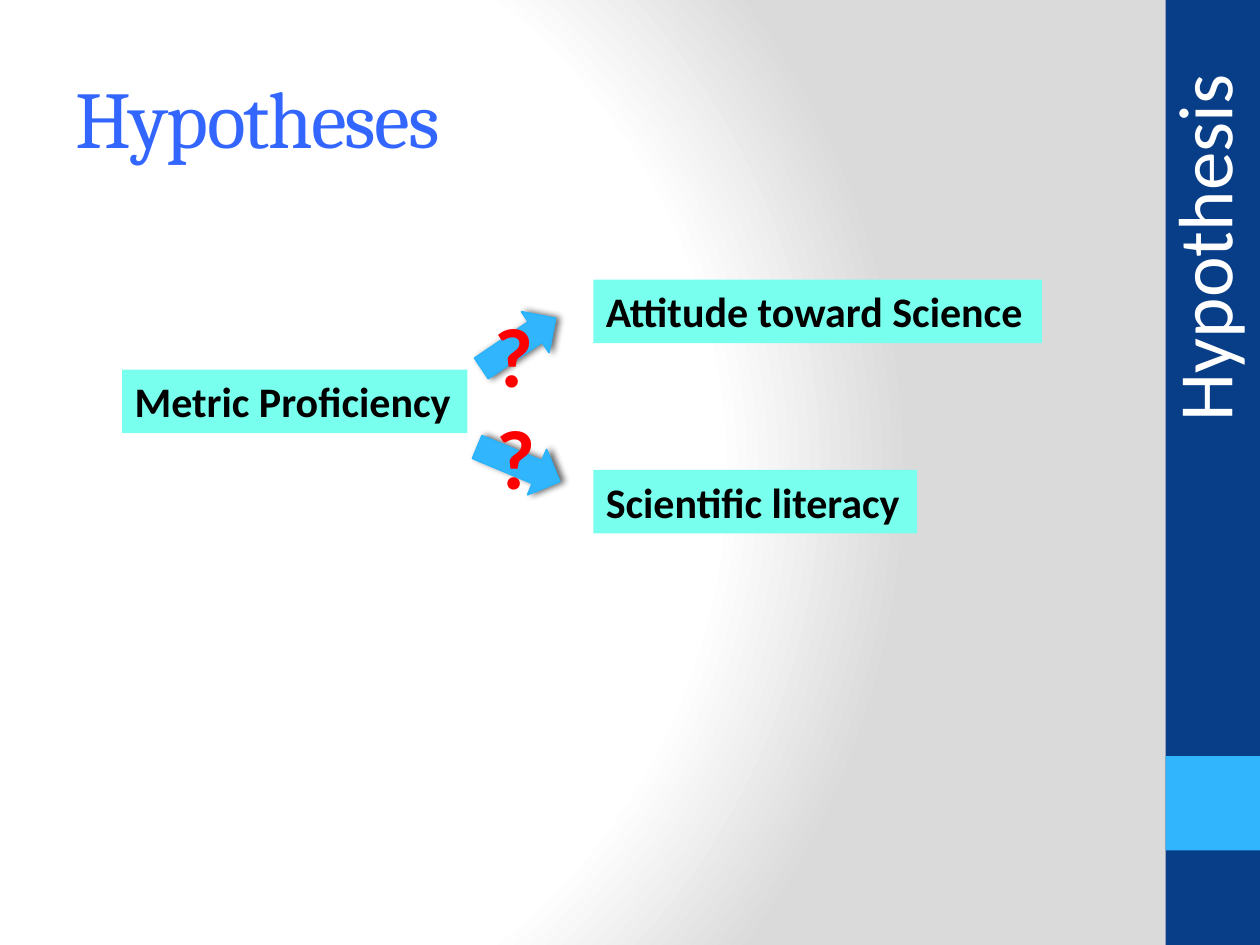
"""Build the hypotheses slide: one predictor, two outcomes and two open questions."""
from pptx import Presentation
from pptx.dml.color import RGBColor
from pptx.enum.shapes import MSO_SHAPE
from pptx.enum.text import MSO_ANCHOR, MSO_AUTO_SIZE, PP_ALIGN
from pptx.oxml import parse_xml
from pptx.oxml.ns import nsdecls, qn
from pptx.util import Pt

RECTANGLE, UP_ARROW = MSO_SHAPE.RECTANGLE, MSO_SHAPE.UP_ARROW
LEFT, TOP, MIDDLE = PP_ALIGN.LEFT, MSO_ANCHOR.TOP, MSO_ANCHOR.MIDDLE
NO_FIT, GROW = MSO_AUTO_SIZE.NONE, MSO_AUTO_SIZE.SHAPE_TO_FIT_TEXT

THEME = {
    "navy": "073E87", "sky": "31B6FD", "sky_edge": "2BB4FC", "aqua": "79FFED",
    "title": {"name": "Cambria", "size": Pt(46), "color": "3366FF", "bold": False},
    "side": {"name": "Calibri", "size": Pt(44), "color": "FFFFFF", "bold": False},
    "label": {"name": "Calibri", "size": Pt(24), "color": "000000", "bold": True},
    "question": {"name": "Calibri", "size": Pt(48), "color": "FF0000", "bold": True},
}
SLIDE_WIDTH, SLIDE_HEIGHT = 720, 540
BAR_WIDTH, LABEL_HEIGHT = 54, 36.35
ARROW_LEFT, ARROW_WIDTH, ARROW_HEIGHT = 282.24, 28.08, 51.12
OUTCOME_LEFT = 339.12

TITLE = ("Hypotheses", (36, 21.6, 599.76, 90))
SIDE_TITLE = ("Hypothesis", (565.2, 95.76, 243.36, 60.48))
BARS = [("navy", 0, SLIDE_HEIGHT), ("sky", 432, BAR_WIDTH)]
LABELS = [
    ("Metric Proficiency", 69.84, 211.2, 197.28),
    ("Scientific literacy", OUTCOME_LEFT, 268.5, 185.04),
    ("Attitude toward Science", OUTCOME_LEFT, 159.8, 256.32),
]
ARROWS = [(170.64, 56), (239.76, 112.7)]
QUESTIONS = [(275.76, 169.92), (276.48, 228.24)]

BACKGROUND = f"""<p:bg {nsdecls("p", "a")}><p:bgPr><a:gradFill rotWithShape="1"><a:gsLst>
<a:gs pos="0"><a:srgbClr val="FFFFFF"/></a:gs><a:gs pos="75000"><a:srgbClr val="FFFFFF"/></a:gs>
<a:gs pos="100000"><a:srgbClr val="DADADA"/></a:gs></a:gsLst><a:path path="circle">
<a:fillToRect l="20000" t="50000" r="100000" b="50000"/></a:path></a:gradFill>
<a:effectLst/></p:bgPr></p:bg>"""
SHADOW = f"""<a:outerShdw {nsdecls("a")} blurRad="50800" dist="25400" dir="0" rotWithShape="0">
<a:srgbClr val="000000"><a:alpha val="60000"/></a:srgbClr></a:outerShdw>"""


def points(box):
    return [Pt(value) for value in box]


def write(shape, text, style, wrap=False, anchor=TOP, fit=GROW):
    frame = shape.text_frame
    frame_format = {"word_wrap": wrap, "vertical_anchor": anchor, "auto_size": fit}
    for name, value in frame_format.items():
        setattr(frame, name, value)
    paragraph = frame.paragraphs[0]
    paragraph.alignment = LEFT
    run = paragraph.add_run()
    run.text = text
    for name, value in THEME[style].items():
        if name == "color":
            run.font.color.rgb = RGBColor.from_string(value)
        else:
            setattr(run.font, name, value)
    return run


def add_filled(kind, box, fill, edge=None):
    shape = slide.shapes.add_shape(kind, *points(box))
    shape.shadow.inherit = False
    shape.fill.solid()
    shape.fill.fore_color.rgb = RGBColor.from_string(THEME[fill])
    if edge:
        shape.line.color.rgb = RGBColor.from_string(THEME[edge])
        shape.line.width = Pt(1)
    else:
        shape.line.fill.background()
    return shape


presentation = Presentation()
presentation.slide_width, presentation.slide_height = Pt(SLIDE_WIDTH), Pt(SLIDE_HEIGHT)
slide = presentation.slides.add_slide(presentation.slide_layouts[5])
slide.element.cSld.insert(0, parse_xml(BACKGROUND))

for fill, top, height in BARS:
    add_filled(RECTANGLE, (SLIDE_WIDTH - BAR_WIDTH, top, BAR_WIDTH, height), fill)

title = slide.shapes.title
text, box = TITLE
title.left, title.top, title.width, title.height = points(box)
title_run = write(title, text, "title", wrap=True, anchor=MIDDLE, fit=NO_FIT)
title_run.font._element.set("spc", "-100")

text, box = SIDE_TITLE
side_title = slide.shapes.add_textbox(*points(box))
side_title.rotation = 270
write(side_title, text, "side", wrap=True)

for text, left, top, width in LABELS:
    label = add_filled(RECTANGLE, (left, top, width, LABEL_HEIGHT), "aqua")
    write(label, text, "label")

for top, angle in ARROWS:
    arrow = add_filled(UP_ARROW, (ARROW_LEFT, top, ARROW_WIDTH, ARROW_HEIGHT), "sky", "sky_edge")
    arrow.rotation = angle
    arrow.element.spPr.find(qn("a:effectLst")).append(parse_xml(SHADOW))

for left, top in QUESTIONS:
    question = slide.shapes.add_textbox(*points((left, top, 36.72, 65.52)))
    write(question, "?", "question")

presentation.save("out.pptx")
